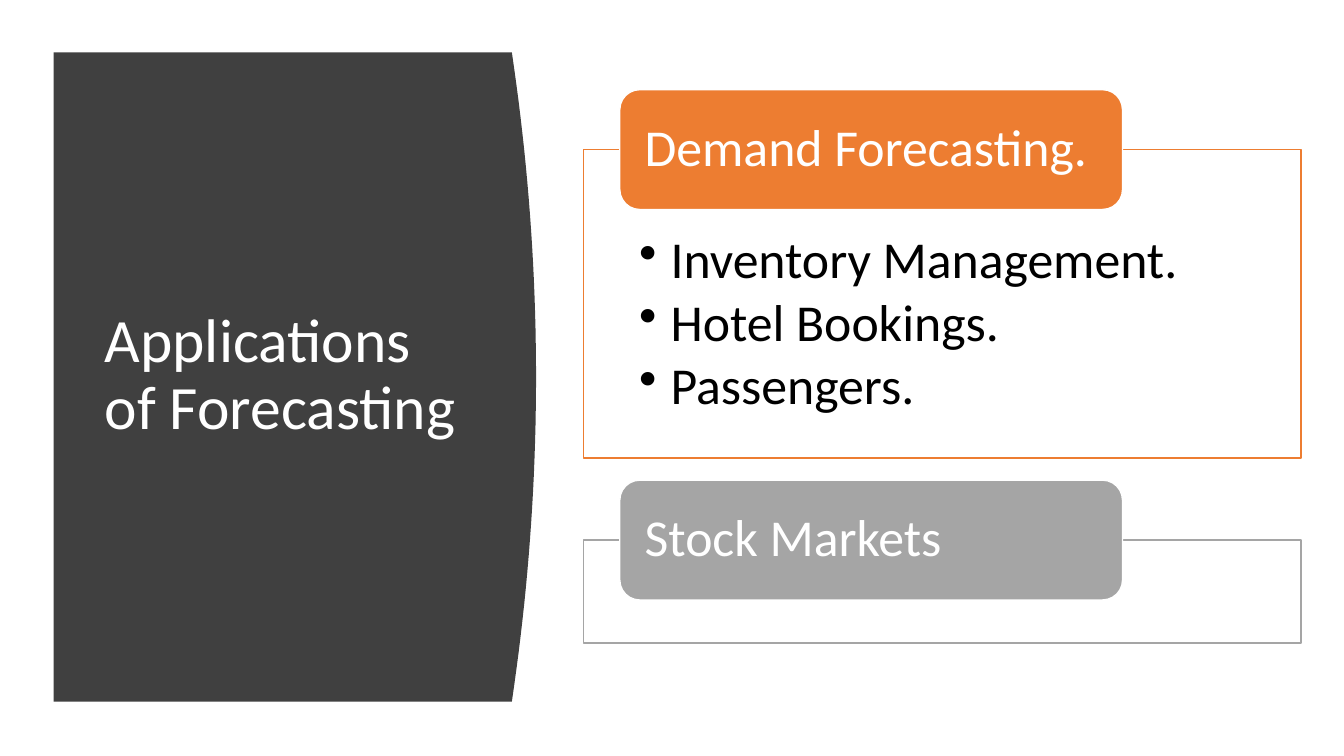
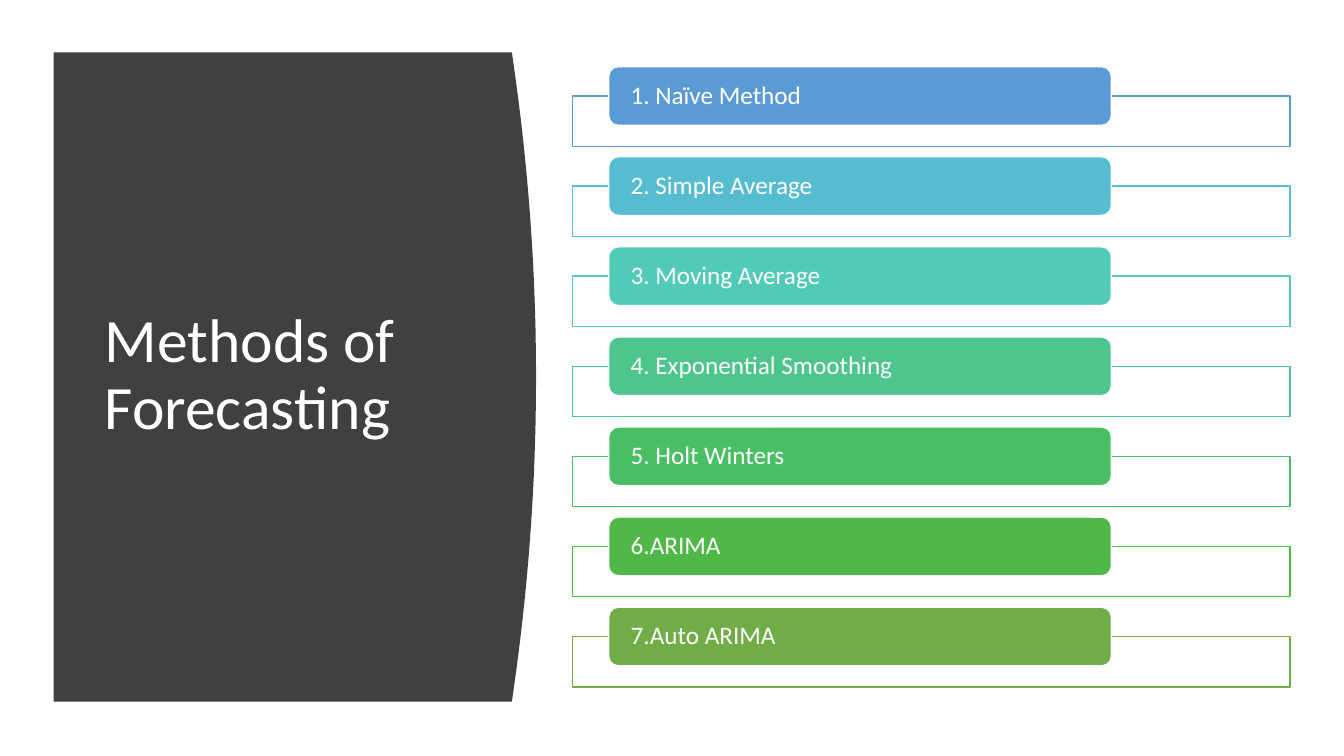
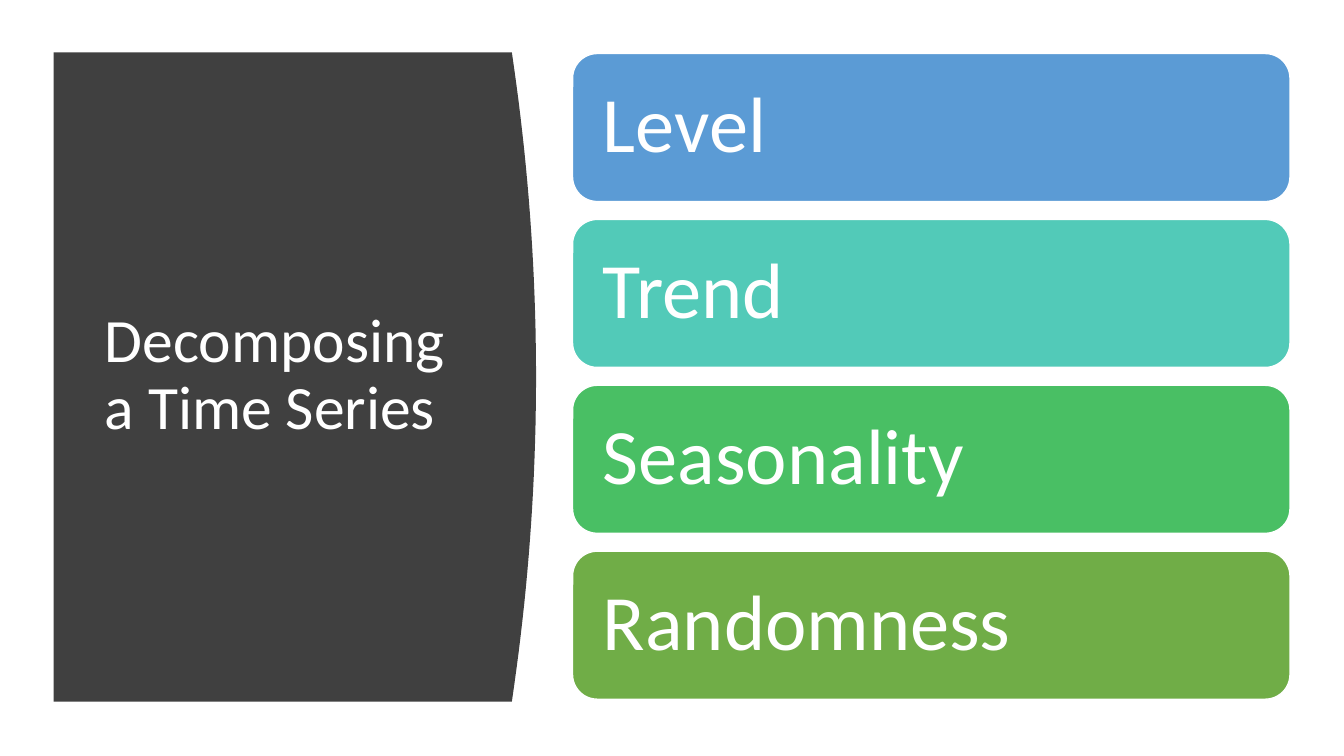
from lxml.etree import SubElement
from pptx import Presentation
from pptx.dml.color import RGBColor
from pptx.enum.shapes import MSO_SHAPE as SHAPE
from pptx.enum.text import MSO_ANCHOR as ANCHOR, PP_ALIGN as ALIGN
from pptx.oxml.ns import qn
from pptx.util import Cm, Pt

COLORS = {
    "white": "FFFFFF", "black": "000000", "panel": "404040",
    "orange": "ED7D31", "gray": "A5A5A5", "blue": "5B9BD5",
    "cyan": "56BCD0", "teal": "52CAB8", "mint": "4DC58D",
    "emerald": "49BF64", "green": "50B846", "olive": "70AD47",
}
FONT = "Calibri"

# Panel with a bulging right edge, in cm
PANEL_LEFT, PANEL_TOP, PANEL_EDGE, PANEL_BOTTOM = 1.35, 1.32, 12.9, 17.68
BULGE, CURVE_STEPS = 0.61, 40

# Column on the right, in cm
COLUMN_LEFT, COLUMN_WIDTH = 14.43, 18.08
TAB_OFFSET, TAB_WIDTH = 0.91, 12.67


def add_box(slide, preset, left, top, width, height, fill, line):
    box = slide.shapes.add_shape(preset, Cm(left), Cm(top), Cm(width), Cm(height))
    box.shadow.inherit = False
    box.fill.solid()
    box.fill.fore_color.rgb = RGBColor.from_string(COLORS[fill])
    box.line.color.rgb = RGBColor.from_string(COLORS[line])
    box.line.width = Pt(1)
    return box


def write(box, lines, size, color="white", inset=0.48, top=0, anchor=ANCHOR.MIDDLE):
    frame = box.text_frame
    frame.word_wrap = True
    frame.vertical_anchor = anchor
    frame.margin_left = frame.margin_right = Cm(inset)
    frame.margin_top, frame.margin_bottom = Cm(top), Cm(0)
    frame.text = "\n".join(lines)
    for line in frame.paragraphs:
        line.alignment = ALIGN.LEFT
        line.line_spacing = 0.9
        line.font.name = FONT
        line.font.size = Pt(size)
        line.font.color.rgb = RGBColor.from_string(COLORS[color])
    return frame


prs = Presentation()
prs.slide_width, prs.slide_height = Cm(33.87), Cm(19.05)

# Shared dark panel and title
titles = ["Applications of Forecasting", "Methods of Forecasting",
          "Decomposing a Time Series"]
slides = []
for title in titles:
    slide = prs.slides.add_slide(prs.slide_layouts[6])
    slides.append(slide)

    curve = []
    for step in range(CURVE_STEPS + 1):
        part = step / CURVE_STEPS
        x = PANEL_EDGE + BULGE * (1 - (2 * part - 1) ** 2)
        y = PANEL_TOP + part * (PANEL_BOTTOM - PANEL_TOP)
        curve.append((Cm(x), Cm(y)))
    outline = slide.shapes.build_freeform(Cm(PANEL_LEFT), Cm(PANEL_TOP))
    outline.add_line_segments(curve + [(Cm(PANEL_LEFT), Cm(PANEL_BOTTOM))])
    panel = outline.convert_to_shape()
    panel.shadow.inherit = False
    panel.fill.solid()
    panel.fill.fore_color.rgb = RGBColor.from_string(COLORS["panel"])
    panel.line.fill.background()

    heading = slide.shapes.add_textbox(Cm(2.39), Cm(2.82), Cm(9.5), Cm(13.31))
    write(heading, [title], 44, inset=0.25)

applications, methods, components = slides

# Framed sections with a tab: slide, left, top, height, tab height, size, colour, label, items
sections = [
    (applications, 14.71, 3.77, 7.77, 3.02, 37, "orange", "Demand Forecasting.",
     ["Inventory Management.", "Hotel Bookings.", "Passengers."]),
    (applications, 14.71, 13.61, 2.59, 3.02, 37, "gray", "Stock Markets", []),
]
method_labels = [
    ("1. Naïve Method", "blue"), ("2. Simple Average", "cyan"),
    ("3. Moving Average", "teal"), ("4. Exponential Smoothing", "mint"),
    ("5. Holt Winters", "emerald"), ("6.ARIMA", "green"), ("7.Auto ARIMA", "olive"),
]
for row, (label, color) in enumerate(method_labels):
    sections.append((methods, COLUMN_LEFT, 2.42 + row * 2.27, 1.27, 1.48, 18,
                     color, label, []))

for slide, left, top, height, tab_height, size, color, label, items in sections:
    section = add_box(slide, SHAPE.RECTANGLE, left, top, COLUMN_WIDTH, height,
                      "white", color)
    if items:
        bullets = write(section, items, size, "black", 1.4, 2.13, ANCHOR.TOP)
        for item in bullets.paragraphs:
            item.space_after = Pt(5)
            props = item._p.get_or_add_pPr()
            props.set("marL", str(Cm(0.79)))
            props.set("indent", str(-Cm(0.79)))
            SubElement(props, qn("a:buChar"), char="•")
            # The bullet precedes the default run properties in the schema
            props.append(props.find(qn("a:defRPr")))
    tab = add_box(slide, SHAPE.ROUNDED_RECTANGLE, left + TAB_OFFSET,
                  top - tab_height / 2, TAB_WIDTH, tab_height, color, "white")
    write(tab, [label], size)

# Components of a time series
component_labels = [("Level", "blue"), ("Trend", "teal"),
                    ("Seasonality", "emerald"), ("Randomness", "olive")]
for row, (label, color) in enumerate(component_labels):
    component = add_box(components, SHAPE.ROUNDED_RECTANGLE, COLUMN_LEFT,
                        1.35 + row * 4.18, COLUMN_WIDTH, 3.73, color, "white")
    write(component, [label], 56, inset=0.58)

prs.save("out.pptx")
